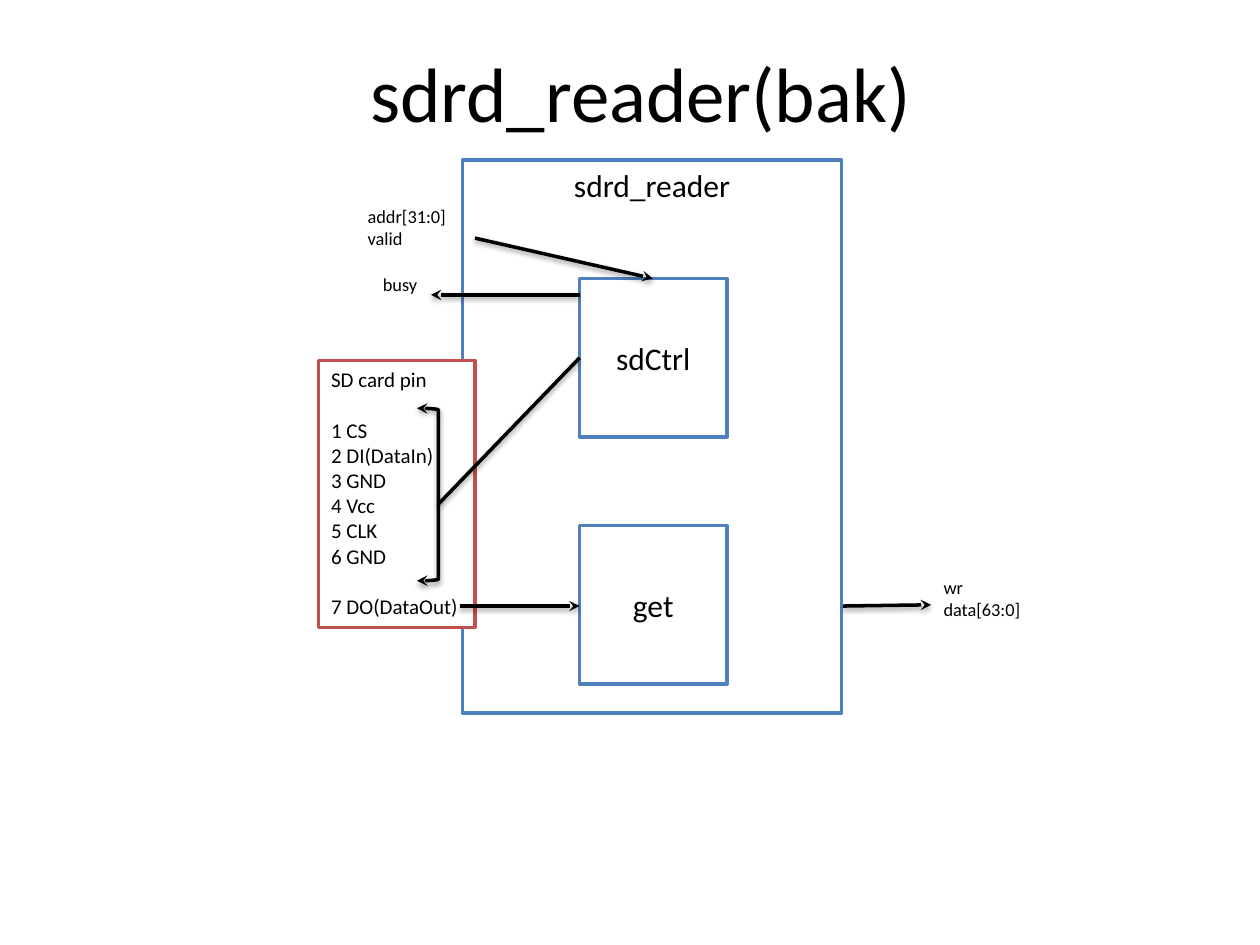
from dataclasses import dataclass

from lxml import etree
from pptx import Presentation
from pptx import util as u
from pptx.dml.color import RGBColor as Rgb
from pptx.enum import shapes as sh, text as tx
from pptx.oxml.ns import qn


@dataclass(frozen=True)
class Theme:
    font: str = "Calibri"
    ink: str = "000000"
    paper: str = "FFFFFF"
    blue: str = "4F81BD"
    red: str = "C0504D"
    title: float = 44
    block: float = 18
    pin: float = 12
    port: float = 10.5
    line: float = 2


T = Theme()
LEFT, MID = tx.PP_ALIGN.LEFT, tx.PP_ALIGN.CENTER
TOP, CENTRE = tx.MSO_ANCHOR.TOP, tx.MSO_ANCHOR.MIDDLE


def inches(*vals):
    return [u.Inches(v) for v in vals]


def write(shape, words, size, align=LEFT, anchor=TOP, wrap=True):
    frame = shape.text_frame
    frame.text = words
    frame.word_wrap = wrap
    frame.vertical_anchor = anchor
    for para in frame.paragraphs:
        para.alignment = align
        for run in para.runs:
            run.font.name = T.font
            run.font.size = u.Pt(size)
            run.font.color.rgb = Rgb.from_string(T.ink)


def label(slide, box, words, size, **style):
    shape = slide.shapes.add_textbox(*inches(*box))
    write(shape, words, size, **style)


def block(slide, box, color, words, size, **style):
    shape = slide.shapes.add_shape(sh.MSO_SHAPE.RECTANGLE, *inches(*box))
    shape.shadow.inherit = False
    shape.fill.solid()
    shape.fill.fore_color.rgb = Rgb.from_string(T.paper)
    stroke(shape, color)
    write(shape, words, size, **style)
    return shape


def stroke(shape, color):
    shape.line.color.rgb = Rgb.from_string(color)
    shape.line.width = u.Pt(T.line)


def wire(shape, *ends):
    """Black line with a soft shadow and stealth heads at the named ends."""
    stroke(shape, T.ink)
    props = shape.line._get_or_add_ln()
    for end in ends:
        etree.SubElement(props, qn("a:" + end), type="stealth")
    root = shape._element.spPr
    glow = root.find(qn("a:effectLst"))
    if glow is None:
        glow = etree.SubElement(root, qn("a:effectLst"))
    cast = etree.SubElement(glow, qn("a:outerShdw"), blurRad=str(u.Pt(3.1)),
                            dist=str(u.Pt(1.6)), dir="5400000", rotWithShape="0")
    tint = etree.SubElement(cast, qn("a:srgbClr"), val=T.ink)
    etree.SubElement(tint, qn("a:alpha"), val="38000")


def link(slide, start, stop, *ends):
    shape = slide.shapes.add_connector(
        sh.MSO_CONNECTOR.STRAIGHT, *inches(*start, *stop))
    wire(shape, *ends)


def bracket(slide, box):
    shape = slide.shapes.add_shape(sh.MSO_SHAPE.RIGHT_BRACKET, *inches(*box))
    shape.shadow.inherit = False
    shape.fill.background()
    wire(shape, "headEnd", "tailEnd")


def main():
    deck = Presentation()
    deck.slide_width, deck.slide_height = inches(10, 7.5)
    slide = deck.slides.add_slide(deck.slide_layouts[6])

    # Title and outer module
    label(slide, (1.08, 0.3, 8.01, 0.85), "sdrd_reader(bak)", T.title,
          align=MID, anchor=CENTRE)
    block(slide, (3.67, 1.27, 3.01, 4.39), T.blue, "sdrd_reader", T.block,
          align=MID)

    # Inner modules
    for top, name in ((2.21, "sdCtrl"), (4.17, "get")):
        block(slide, (4.6, top, 1.17, 1.26), T.blue, name, T.block,
              align=MID, anchor=CENTRE)

    # Card pins, with a line of space around the grouped ones
    pins = ("SD card pin", "1 CS", "2 DI(DataIn)", "3 GND", "4 Vcc",
            "5 CLK", "6 GND", "7 DO(DataOut)")
    card = block(slide, (2.53, 2.86, 1.24, 2.12), T.red, "\n".join(pins), T.pin)
    for row in (1, 7):
        card.text_frame.paragraphs[row].space_before = u.Pt(14.5)
    bracket(slide, (3.31, 3.24, 0.17, 1.37))

    # Ports
    label(slide, (2.82, 1.58, 0.83, 0.63), "addr[31:0]\nvalid", T.port, wrap=False)
    label(slide, (2.94, 2.12, 0.48, 0.45), "busy", T.port)
    label(slide, (7.39, 4.52, 0.82, 0.45), "wr\ndata[63:0]", T.port, wrap=False)

    # Signals
    link(slide, (4.6, 2.84), (3.48, 4))
    for start, stop in (((3.65, 4.81), (4.6, 4.81)),
                        ((3.77, 1.89), (5.18, 2.21)),
                        ((4.6, 2.34), (3.42, 2.34)),
                        ((6.69, 4.81), (7.39, 4.8))):
        link(slide, start, stop, "tailEnd")

    deck.save("out.pptx")


main()
